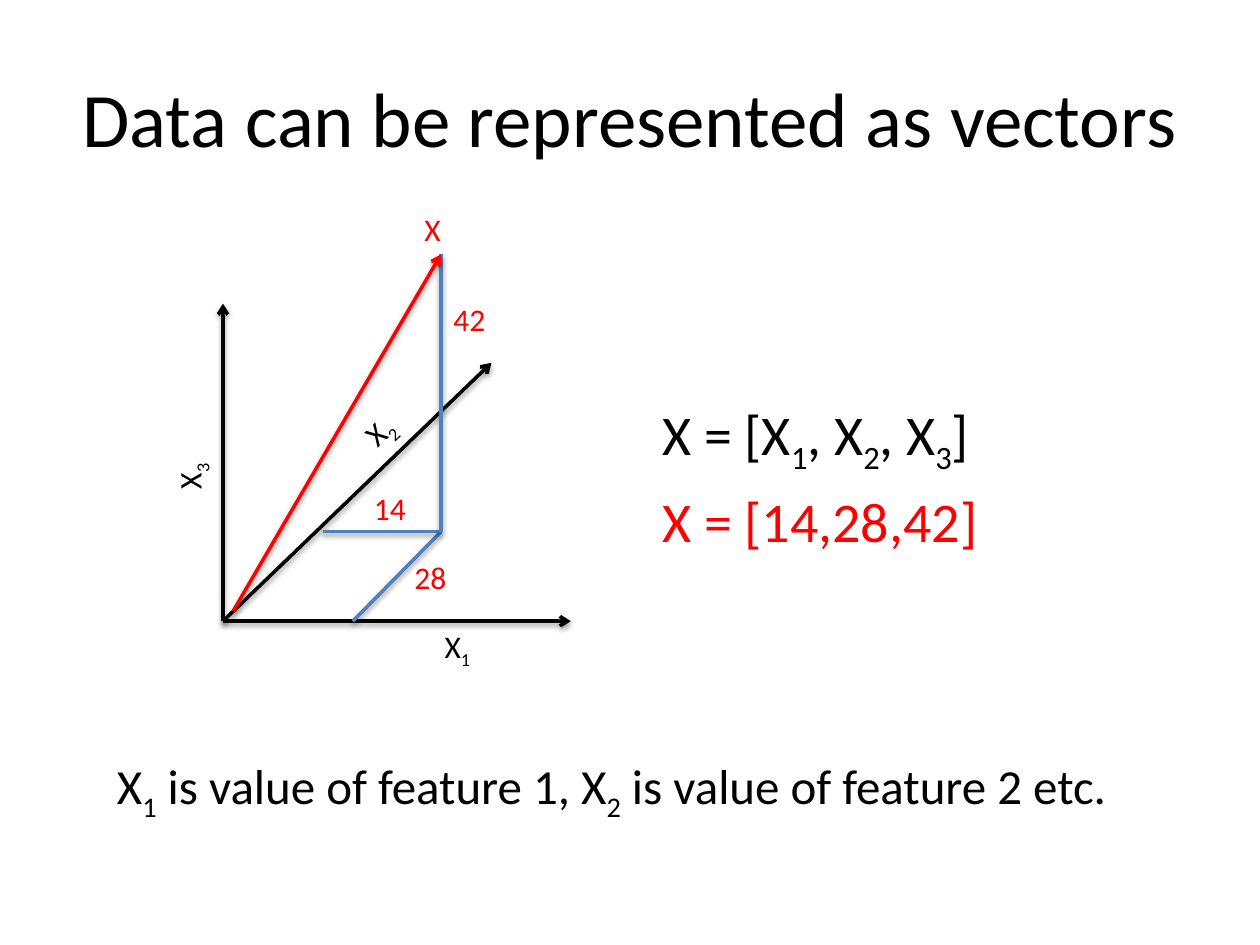
from pptx import Presentation
from pptx.dml.color import RGBColor
from pptx.enum.shapes import MSO_CONNECTOR
from pptx.enum.text import MSO_ANCHOR, MSO_AUTO_SIZE, PP_ALIGN
from pptx.oxml import parse_xml
from pptx.oxml.ns import nsdecls
from pptx.util import Inches, Pt

BLACK = RGBColor(0x00, 0x00, 0x00)
RED = RGBColor(0xFF, 0x00, 0x00)
BLUE = RGBColor(0x4F, 0x81, 0xBD)
FONT = "Calibri"

ORIGIN = (1.77, 4.93)
VECTOR_START = (1.85, 4.85)
VECTOR_TIP = (3.5, 2.02)
FOOT = (3.5, 4.22)

SHADOW = (
    f'<a:effectLst {nsdecls("a")}>'
    '<a:outerShdw blurRad="40000" dist="20000" dir="5400000" rotWithShape="0">'
    '<a:srgbClr val="000000"><a:alpha val="38000"/></a:srgbClr>'
    '</a:outerShdw></a:effectLst>'
)
ARROWHEAD = f'<a:tailEnd {nsdecls("a")} type="arrow"/>'


def add_line(slide, start, end, color, arrow=False):
    line = slide.shapes.add_connector(
        MSO_CONNECTOR.STRAIGHT, *(Inches(value) for value in start + end)
    )
    line.line.color.rgb = color
    line.line.width = Pt(2)
    if arrow:
        line.line._get_or_add_ln().append(parse_xml(ARROWHEAD))
    line._element.spPr.append(parse_xml(SHADOW))


def add_text_box(slide, place, wrap=True, grow=True, rotation=0):
    box = slide.shapes.add_textbox(*(Inches(value) for value in place))
    box.rotation = rotation
    frame = box.text_frame
    frame.word_wrap = wrap
    frame.auto_size = MSO_AUTO_SIZE.SHAPE_TO_FIT_TEXT if grow else MSO_AUTO_SIZE.NONE
    return frame


def write(paragraph, pieces, size, color=BLACK):
    """Every second piece is a subscript."""
    for index, piece in enumerate(pieces):
        run = paragraph.add_run()
        run.text = piece
        run.font.name = FONT
        run.font.size = Pt(size)
        run.font.color.rgb = color
        if index % 2:
            run._r.get_or_add_rPr().set("baseline", "-25000")


def add_label(slide, place, pieces, color=BLACK, wrap=False, rotation=0, size=18):
    frame = add_text_box(slide, place, wrap=wrap, rotation=rotation)
    write(frame.paragraphs[0], pieces, size, color)


def add_title(slide, title):
    frame = add_text_box(slide, (0.5, 0.3, 9, 1.25), grow=False)
    frame.vertical_anchor = MSO_ANCHOR.MIDDLE
    frame.paragraphs[0].alignment = PP_ALIGN.CENTER
    write(frame.paragraphs[0], [title], 44)


def add_equations(slide):
    frame = add_text_box(slide, (5.16, 3.12, 4.66, 1.5), grow=False)
    write(frame.paragraphs[0], ["X = [X", "1", ", X", "2", ", X", "3", "]"], 32)
    values = frame.add_paragraph()
    values.space_before = Pt(6.4)
    write(values, ["X = [14,28,42]"], 32, RED)


def add_diagram(slide):
    for axis_end in ((3.9, 2.88), (1.77, 2.41), (4.53, 4.93)):
        add_line(slide, ORIGIN, axis_end, BLACK, arrow=True)
    add_label(slide, (3.43, 4.93, 0.42, 0.4), ["X", "1"])
    add_label(slide, (2.8, 3.21, 0.42, 0.4), ["X", "2"], rotation=316.7)
    add_label(slide, (1.29, 3.57, 0.42, 0.4), ["X", "3"], rotation=270)

    for start, end in (((2.8, 4.93), FOOT), ((2.56, 4.22), FOOT), (FOOT, VECTOR_TIP)):
        add_line(slide, start, end, BLUE)
    add_line(slide, VECTOR_START, VECTOR_TIP, RED, arrow=True)
    add_label(slide, (3.5, 2.33, 0.63, 0.4), ["42"], RED, wrap=True)
    add_label(slide, (3.19, 4.38, 0.46, 0.4), ["28"], RED)
    add_label(slide, (2.87, 3.83, 0.63, 0.4), ["14"], RED, wrap=True)
    add_label(slide, (3.27, 1.62, 0.33, 0.4), ["X"], RED)


def main():
    deck = Presentation()
    deck.slide_width = Inches(10)
    deck.slide_height = Inches(7.5)
    slide = deck.slides.add_slide(deck.slide_layouts[6])
    add_title(slide, "Data can be represented as vectors")
    add_equations(slide)
    add_diagram(slide)
    add_label(
        slide,
        (0.83, 5.95, 8.43, 0.57),
        ["X", "1", " is value of feature 1, X", "2", " is value of feature 2 etc."],
        wrap=True,
        size=28,
    )
    deck.save("out.pptx")


if __name__ == "__main__":
    main()
